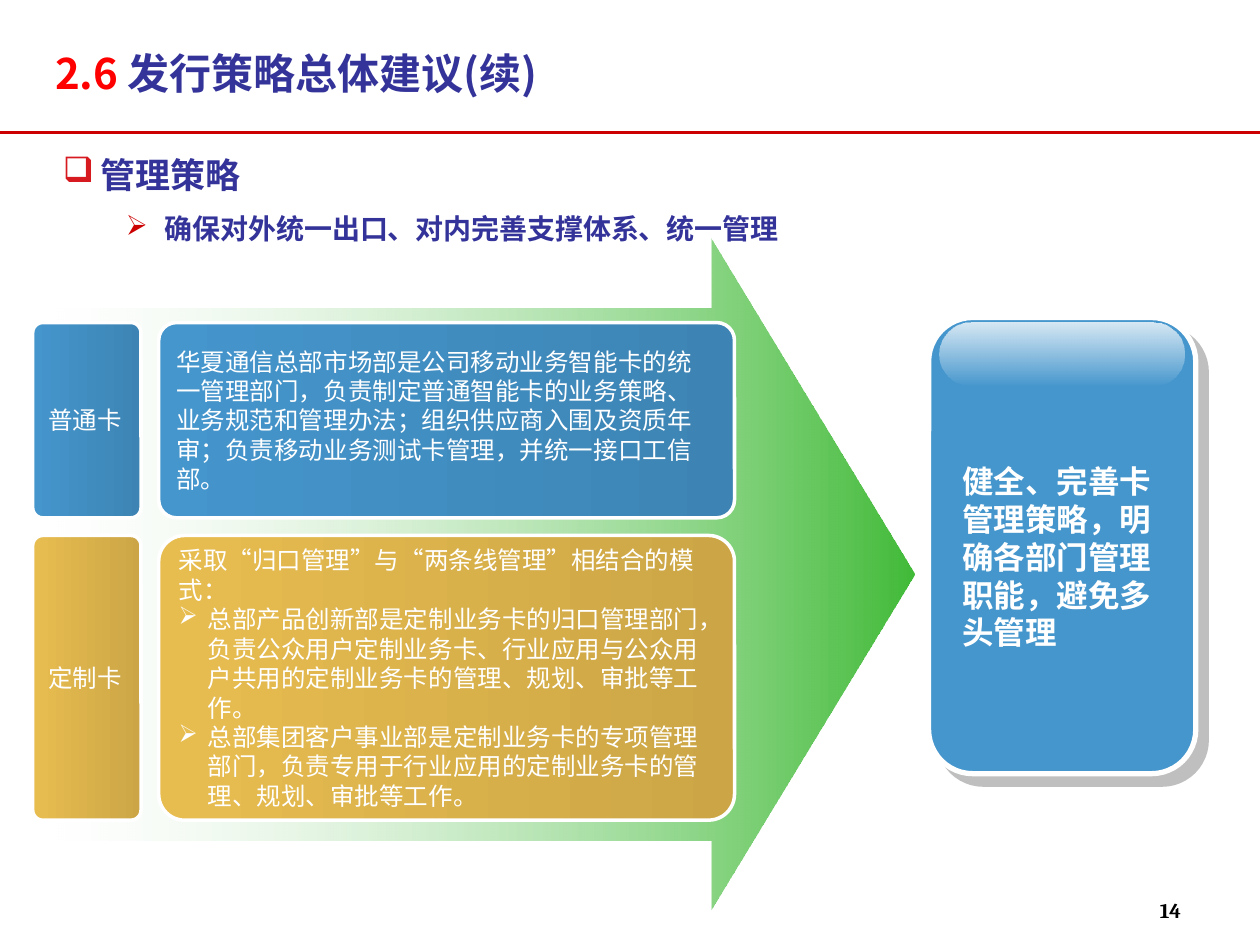
from lxml.etree import SubElement
from pptx import Presentation
from pptx.dml.color import RGBColor as RGB
from pptx.enum.shapes import MSO_CONNECTOR as CONN, MSO_SHAPE as SHAPE
from pptx.enum.text import MSO_ANCHOR as ANCHOR, PP_ALIGN as ALIGN
from pptx.oxml.ns import qn
from pptx.util import Inches, Pt

THEME = {
    "font": "Noto Sans CJK SC", "number_font": "Cambria",
    "white": "FFFFFF", "black": "000000", "navy": "333399", "red": "FF0000",
    "rule": "CC0000", "square": "D71A20", "shadow": "808080",
    "panel": "4596CD", "arrow": "42BB39",
    "blue": ("4596CD", "3D84B4"), "gold": ("E8BD50", "CCA646"),
    "title": 24, "heading": 20, "result": 18, "subheading": 16,
    "body": 14, "number": 12,
}
LEADING = 1.2

TITLE = [("2.6 ", "red"), ("发行策略总体建议(续)", "navy")]
HEADING = "管理策略"
SUBHEADING = "确保对外统一出口、对内完善支撑体系、统一管理"
RESULT = "健全、完善卡管理策略，明确各部门管理职能，避免多头管理"
PAGE = "14"
# label, colours, top, height, introduction, bullet points
CARDS = [
    ("普通卡", "blue", 2.56, 1.55,
     "华夏通信总部市场部是公司移动业务智能卡的统一管理部门，负责制定普通智能卡的"
     "业务策略、业务规范和管理办法；组织供应商入围及资质年审；负责移动业务测试卡"
     "管理，并统一接口工信部。", []),
    ("定制卡", "gold", 4.25, 2.26,
     "采取“归口管理”与“两条线管理”相结合的模式：",
     ["总部产品创新部是定制业务卡的归口管理部门，负责公众用户定制业务卡、行业应用"
      "与公众用户共用的定制业务卡的管理、规划、审批等工作。",
      "总部集团客户事业部是定制业务卡的专项管理部门，负责专用于行业应用的定制业务"
      "卡的管理、规划、审批等工作。"]),
]
LABEL_X, LABEL_W = 0.26, 0.86
CARD_X, CARD_W = 1.26, 4.57


def rgb(name):
    return RGB.from_string(THEME.get(name, name))


def set_gradient(sp, colors, angle=0, alphas=(100, 100)):
    """Fill with two stops; angle is counter-clockwise, alphas are percent opaque."""
    sp.fill.gradient()
    sp.fill.gradient_angle = angle
    for stop, color, pos in zip(sp.fill.gradient_stops, colors, (0, 1)):
        stop.color.rgb = rgb(color)
        stop.position = pos
    for clr, alpha in zip(sp._element.spPr.iter(qn("a:srgbClr")), alphas):
        if alpha < 100:
            SubElement(clr, qn("a:alpha"), val=str(alpha * 1000))


def add_box(s, kind, box, adj, line=0):
    sp = s.shapes.add_shape(kind, *map(Inches, box))
    sp.shadow.inherit = False
    for i, value in enumerate(adj):
        sp.adjustments[i] = value
    if line:
        sp.line.color.rgb = rgb("white")
        sp.line.width = Pt(line)
    else:
        sp.line.fill.background()
    return sp


def set_frame(sp, anchor=ANCHOR.MIDDLE, right=0.1):
    tf = sp.text_frame
    tf.word_wrap = True
    tf.vertical_anchor = anchor
    tf.margin_left, tf.margin_right = Inches(0.1), Inches(right)
    tf.margin_top = tf.margin_bottom = Inches(0.05)
    return tf


def add_text(s, box, anchor=ANCHOR.MIDDLE):
    return set_frame(s.shapes.add_textbox(*map(Inches, box)), anchor)


def add_para(tf, runs, size, bold=False, font="font", align=ALIGN.LEFT, leading=LEADING):
    p = tf.paragraphs[0]
    if p.runs:
        p = tf.add_paragraph()
    p.alignment = align
    p.line_spacing = Pt(round(THEME[size] * leading, 1))
    for text, color in runs:
        r = p.add_run()
        r.text = text
        r.font.size = Pt(THEME[size])
        r.font.bold = bold
        r.font.name = THEME[font]
        r.font.color.rgb = rgb(color)
        SubElement(r._r.get_or_add_rPr(), qn("a:ea"), typeface=THEME[font])
    return p


def set_bullet(p, char, color, left, hang):
    pPr = p._p.get_or_add_pPr()
    pPr.set("marL", str(Inches(left)))
    pPr.set("indent", str(-Inches(hang)))
    clr = SubElement(pPr, qn("a:buClr"))
    SubElement(clr, qn("a:srgbClr"), val=THEME[color])
    SubElement(pPr, qn("a:buChar"), char=char)


def add_rule(s):
    line = s.shapes.add_connector(CONN.STRAIGHT, 0, Inches(1.05), Inches(10), Inches(1.05))
    line.line.color.rgb = rgb("rule")
    line.line.width = Pt(1.5)
    SubElement(line._element.spPr, qn("a:effectLst"))


def add_headings(s):
    add_para(add_text(s, (0.34, 0.21, 7.64, 0.73)), TITLE, "title", bold=True)
    tf = add_text(s, (0.4, 1, 9.36, 1.22), ANCHOR.TOP)
    p = add_para(tf, [(HEADING, "navy")], "heading", bold=True, leading=LEADING * 1.5)
    set_bullet(p, "❑", "square", 0.3, 0.3)
    p = add_para(tf, [(SUBHEADING, "navy")], "subheading", bold=True, leading=LEADING * 1.5)
    set_bullet(p, "➢", "rule", 0.81, 0.31)


def add_result_panel(s):
    panel = add_box(s, SHAPE.ROUNDED_RECTANGLE, (7.37, 2.52, 2.12, 3.62), [0.165], line=3)
    panel.fill.solid()
    panel.fill.fore_color.rgb = rgb("panel")
    effects = panel._element.spPr.find(qn("a:effectLst"))
    shadow = SubElement(effects, qn("a:outerShdw"), dist=str(Pt(8.5)),
                        dir=str(45 * 60000), algn="ctr", rotWithShape="0")
    clr = SubElement(shadow, qn("a:srgbClr"), val=THEME["shadow"])
    SubElement(clr, qn("a:alpha"), val="50000")
    gloss = add_box(s, SHAPE.ROUNDED_RECTANGLE, (7.46, 2.56, 1.94, 0.5), [0.5])
    set_gradient(gloss, ("white", "white"), 270, (80, 0))
    tf = add_text(s, (7.54, 3.62, 1.85, 1.6), ANCHOR.TOP)
    add_para(tf, [(RESULT, "white")], "result", bold=True)


def add_card(s, label, colors, top, height, intro, points):
    card = add_box(s, SHAPE.ROUNDED_RECTANGLE, (CARD_X, top, CARD_W, height), [0.091], line=2)
    tag = add_box(s, SHAPE.ROUNDED_RECTANGLE, (LABEL_X, top, LABEL_W, height), [0.093], line=2)
    for sp in (card, tag):
        set_gradient(sp, THEME[colors])
    add_para(set_frame(tag), [(label, "white")], "body")
    tf = set_frame(card, right=0.15)
    add_para(tf, [(intro, "white")], "body")
    for point in points:
        p = add_para(tf, [(point, "white")], "body")
        set_bullet(p, "➢", "white", 0.23, 0.23)


def main():
    prs = Presentation()
    prs.slide_width, prs.slide_height = Inches(10), Inches(7.5)
    s = prs.slides.add_slide(prs.slide_layouts[6])
    add_rule(s)
    add_headings(s)
    add_result_panel(s)
    arrow = add_box(s, SHAPE.RIGHT_ARROW, (0.45, 1.89, 6.81, 5.33), [0.793, 0.303])
    set_gradient(arrow, ("white", "arrow"), 0, (24, 100))
    for card in CARDS:
        add_card(s, *card)
    add_para(add_text(s, (9.04, 7.02, 0.5, 0.4)), [(PAGE, "black")], "number",
             bold=True, font="number_font", align=ALIGN.CENTER)
    prs.save("out.pptx")


if __name__ == "__main__":
    main()
